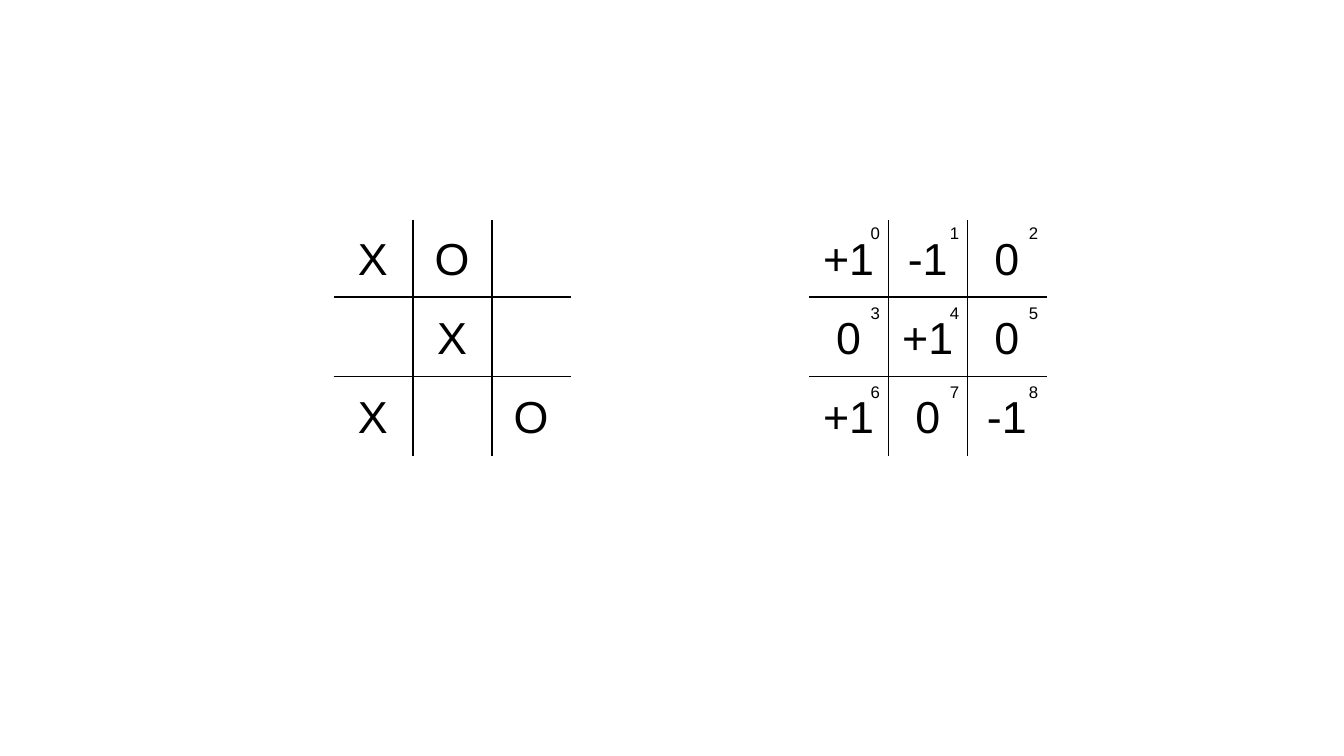
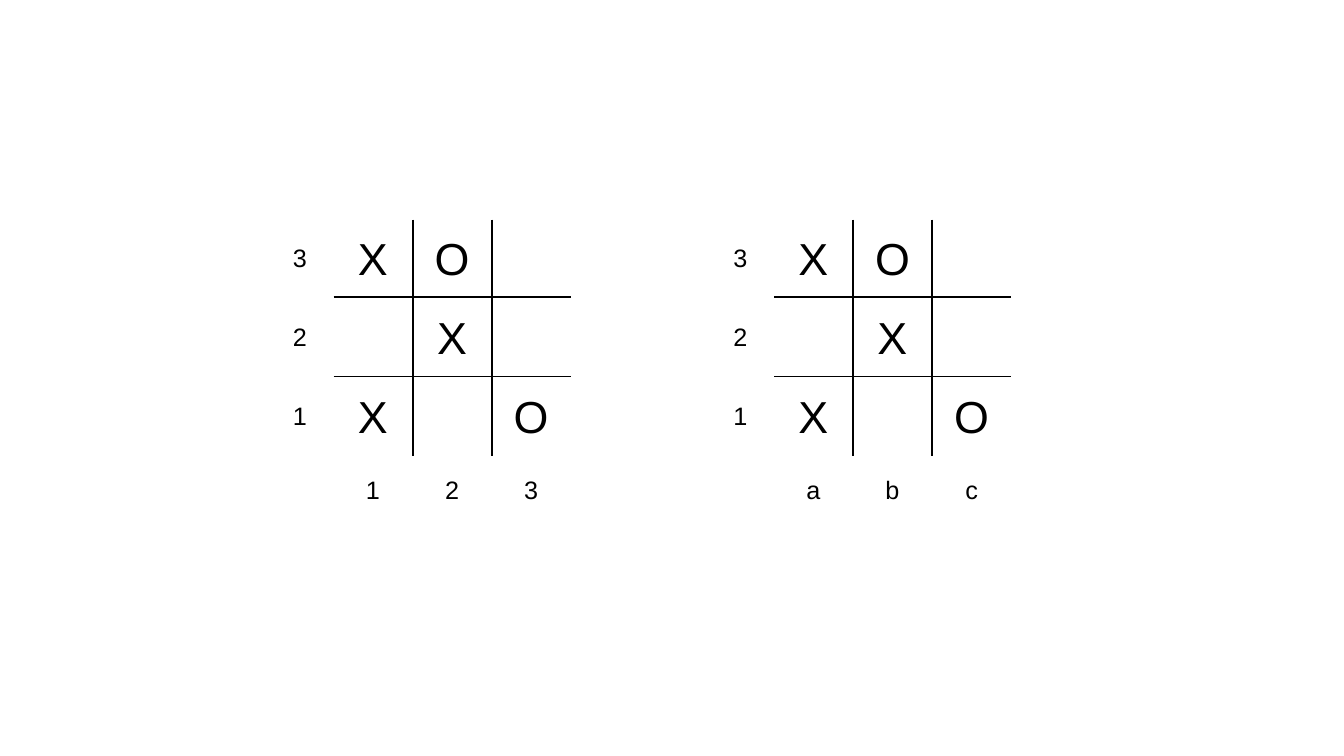
from dataclasses import dataclass
from pptx import Presentation
from pptx.dml.color import RGBColor
from pptx.enum.shapes import MSO_CONNECTOR
from pptx.enum.text import MSO_ANCHOR, MSO_AUTO_SIZE, PP_ALIGN
from pptx.oxml.ns import qn
from pptx.util import Emu, Pt
from lxml.etree import SubElement


@dataclass(frozen=True)
class Theme:
    """Colours, type and line sizes shared by both slides."""
    ink: RGBColor = RGBColor(0, 0, 0)
    font: str = "Arial"
    mark: float = 32
    label: float = 18
    index: float = 12
    line: float = 1.25


THEME = Theme()
MARKS = [["X", "O", ""], ["", "X", ""], ["X", "", "O"]]
SCORES = [["+1", "-1", "0"], ["0", "+1", "0"], ["+1", "0", "-1"]]
INDEXES = [["0", "1", "2"], ["3", "4", "5"], ["6", "7", "8"]]
ROW_LABELS = ["3", "2", "1"]
SLIDES = [
    [
        {"left": 662, "cells": MARKS},
        {"left": 1606, "cells": SCORES, "indexes": INDEXES},
    ],
    [
        {"left": 662, "cells": MARKS, "rows": ROW_LABELS, "columns": ["1", "2", "3"]},
        {"left": 1536, "cells": MARKS, "rows": ROW_LABELS, "columns": ["a", "b", "c"]},
    ],
]

PX = 4572
SLIDE_SIZE = (2667, 1500)
TOP, CELL = 433, 157
SIDE, HALF = 3 * CELL, CELL // 2
LINE_TOP = TOP + 3
LABEL_GAP = 67
MARK_WIDTHS = {"X": 100, "O": 110, "+1": 142, "-1": 120, "0": 90}
MARK_HEIGHT = 128
LABEL_SIZE = (68, 80)
INDEX_SIZE = (58, 60)
INDEX_RIGHT = CELL + 3


def px(*lengths):
    """Turn px lengths into EMU."""
    return [Emu(length * PX) for length in lengths]


def apply(target, values):
    """Set each named attribute of the target."""
    for name, value in values.items():
        setattr(target, name, value)


def add_text(group, text, left, top, size, points, align=PP_ALIGN.CENTER):
    """Add one unwrapped line of text."""
    box = group.shapes.add_textbox(*px(left, top, *size))
    apply(box.text_frame, {"word_wrap": False, "auto_size": MSO_AUTO_SIZE.SHAPE_TO_FIT_TEXT,
                           "vertical_anchor": MSO_ANCHOR.TOP})
    para = box.text_frame.paragraphs[0]
    para.alignment = align
    span = para.add_run()
    span.text = text
    apply(span.font, {"name": THEME.font, "size": Pt(points)})
    span.font.color.rgb = THEME.ink


def add_centred(group, text, x, y, size, points):
    """Add text whose box is centred on a point."""
    width, height = size
    add_text(group, text, x - width // 2, y - height // 2, size, points)


def add_line(group, *ends):
    """Add one grid line."""
    line = group.shapes.add_connector(MSO_CONNECTOR.STRAIGHT, *px(*ends))
    line.line.width = Pt(THEME.line)
    line.line.color.rgb = THEME.ink
    SubElement(line._element.spPr, qn("a:effectLst"))


def add_board(page, left, cells, indexes=(), rows=(), columns=()):
    """Add a grid with its marks, cell indexes and edge labels."""
    group = page.shapes.add_group_shape()
    centres_x = [left + HALF + CELL * step for step in range(3)]
    centres_y = [TOP + HALF + CELL * step for step in range(3)]
    for step in (1, 2):
        x = left + CELL * step
        add_line(group, x, LINE_TOP, x, TOP + SIDE)
    for step in (1, 2):
        y = TOP + CELL * step
        add_line(group, left, y, left + SIDE, y)
    for y, marks in zip(centres_y, cells):
        for x, mark in zip(centres_x, marks):
            if mark:
                add_centred(group, mark, x, y, (MARK_WIDTHS[mark], MARK_HEIGHT), THEME.mark)
    for row, numbers in enumerate(indexes):
        for column, number in enumerate(numbers):
            x = left + CELL * column + INDEX_RIGHT - INDEX_SIZE[0]
            add_text(group, number, x, TOP + CELL * row, INDEX_SIZE, THEME.index, PP_ALIGN.RIGHT)
    for x, label in zip(centres_x, columns):
        add_centred(group, label, x, TOP + SIDE + LABEL_GAP, LABEL_SIZE, THEME.label)
    for y, label in zip(centres_y, rows):
        add_centred(group, label, left - LABEL_GAP, y, LABEL_SIZE, THEME.label)


def main():
    """Build and save the deck."""
    deck = Presentation()
    deck.slide_width, deck.slide_height = px(*SLIDE_SIZE)
    for boards in SLIDES:
        page = deck.slides.add_slide(deck.slide_layouts[6])
        for board in boards:
            add_board(page, **board)
    deck.save("out.pptx")


if __name__ == "__main__":
    main()
